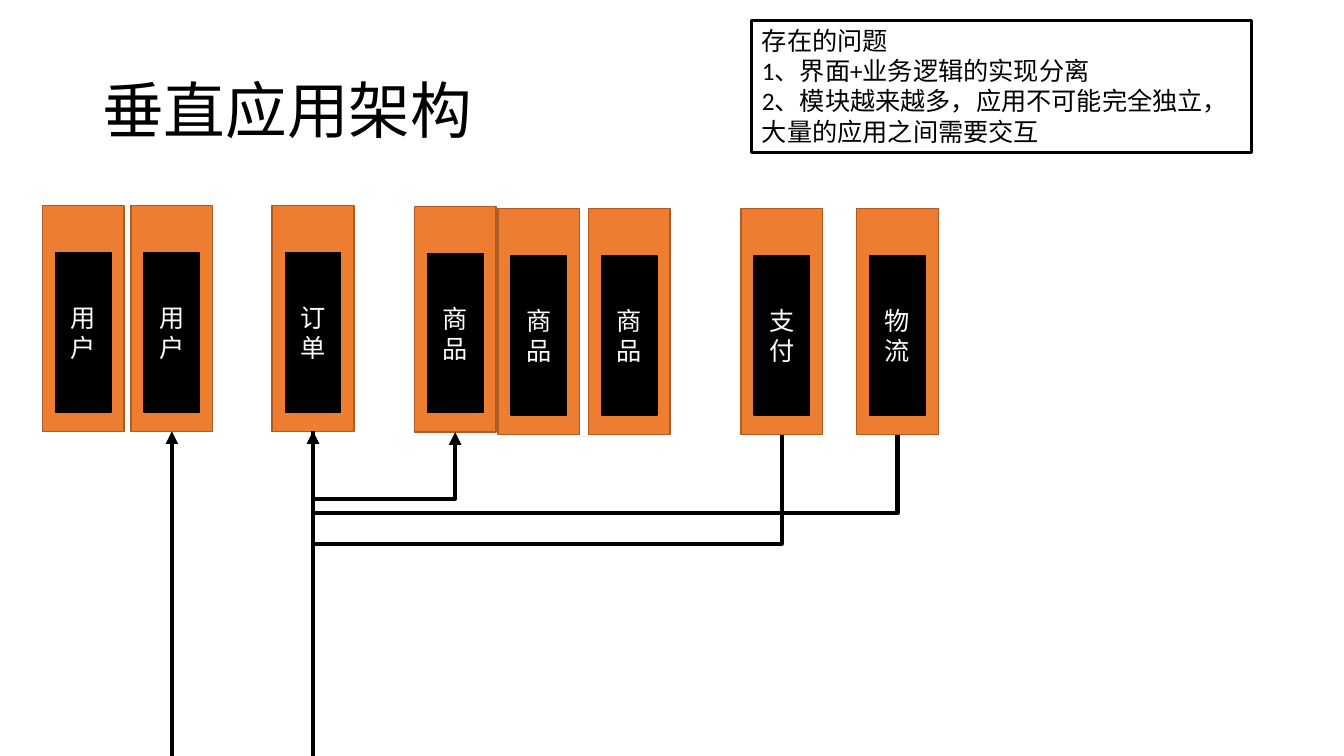
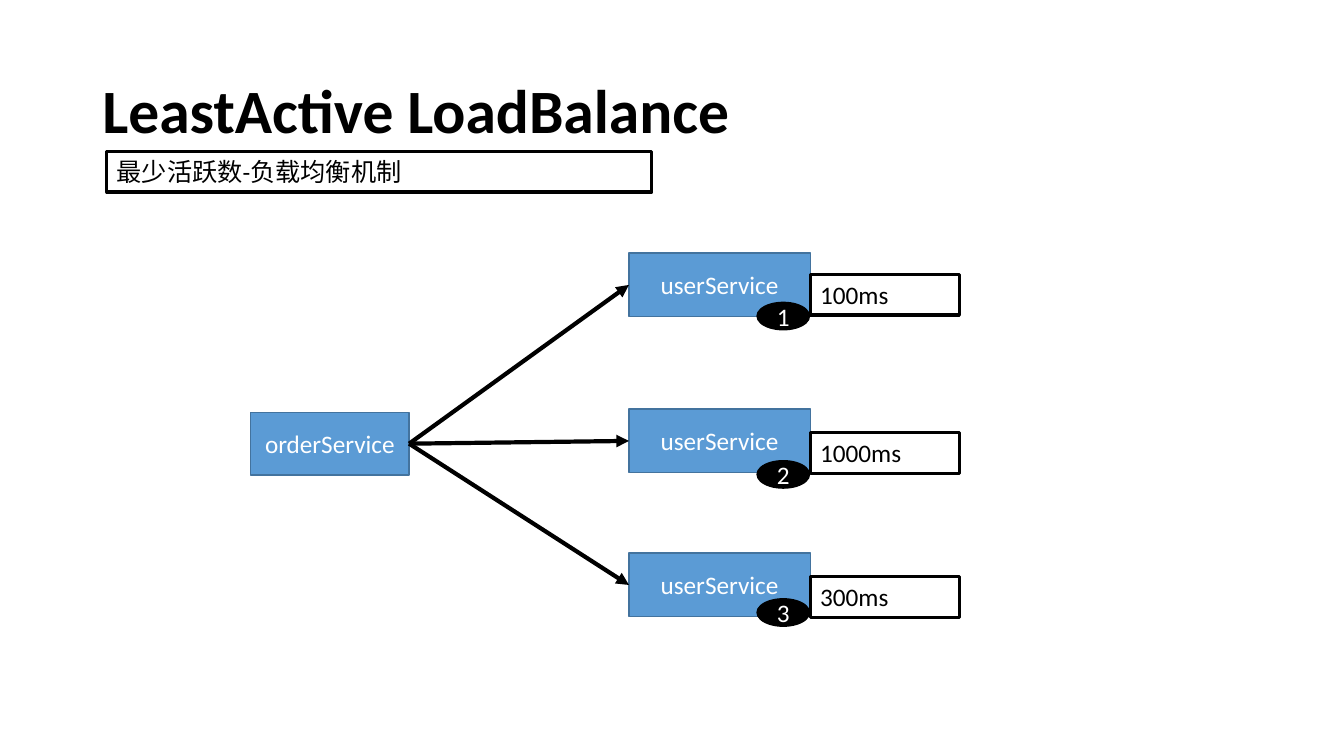
import pptx
import pptx.util
import pptx.dml.color
import pptx.enum.shapes
import pptx.enum.text
import pptx.oxml
import pptx.oxml.ns

Cm = pptx.util.Cm
Pt = pptx.util.Pt
SHAPES = pptx.enum.shapes.MSO_SHAPE
CONNECTORS = pptx.enum.shapes.MSO_CONNECTOR
ALIGN = pptx.enum.text.PP_ALIGN
ANCHOR = pptx.enum.text.MSO_ANCHOR
qn = pptx.oxml.ns.qn

COLOURS = {
    "black": "000000", "white": "FFFFFF",
    "orange": "ED7D31", "orange_edge": "AF5C24",
    "blue": "5B9BD5", "blue_edge": "43739E",
}
FONT = "Calibri"
SLIDE_WIDTH, SLIDE_HEIGHT = 33.87, 19.05
TITLE_BOX = (2.33, 1.02, 29.21, 3.68)

ARCHITECTURE_TITLE = "垂直应用架构"
PROBLEMS = [
    "存在的问题",
    "1、界面+业务逻辑的实现分离",
    "2、模块越来越多，应用不可能完全独立，大量的应用之间需要交互",
]
PROBLEMS_BOX = (18.95, 0.51, 12.6, 3.33)
CARD_WIDTH, CARD_HEIGHT = 2.06, 5.69
MODULE_INSET, MODULE_DROP, MODULE_HEIGHT = 0.33, 1.19, 4.01
CARDS = [
    ("user_a", "用户", 1.07, 5.18),
    ("user_b", "用户", 3.3, 5.18),
    ("order", "订单", 6.86, 5.18),
    ("product_a", "商品", 10.44, 5.2),
    ("product_b", "商品", 12.55, 5.26),
    ("product_c", "商品", 14.83, 5.26),
    ("payment", "支付", 18.67, 5.26),
    ("logistics", "物流", 21.59, 5.26),
]
CALLS = [
    ("order", "product_a", 12.57),
    ("payment", "order", 13.7),
    ("logistics", "order", 12.93),
]

BALANCE_TITLE = "LeastActive LoadBalance"
BALANCE_NOTE = "最少活跃数-负载均衡机制"
BALANCE_NOTE_BOX = (2.69, 3.81, 13.74, 1.03)
ORDER_BOX = (6.32, 10.39, 3.99, 1.58)
USER_LEFT, USER_WIDTH, USER_HEIGHT = 15.85, 4.57, 1.6
USERS = [
    ("1", "100ms", 6.38, 6.91, 7.62),
    ("2", "1000ms", 10.31, 10.9, 11.61),
    ("3", "300ms", 13.94, 14.53, 15.09),
]


def colour(name):
    return pptx.dml.color.RGBColor.from_string(COLOURS[name])


def write(shape, lines, ink, size=18, bold=False, align=ALIGN.LEFT, anchor=ANCHOR.TOP):
    frame = shape.text_frame
    frame.word_wrap = True
    frame.vertical_anchor = anchor
    frame.text = "\n".join(lines)
    for paragraph in frame.paragraphs:
        paragraph.alignment = align
        paragraph.font.name = FONT
        paragraph.font.size = Pt(size)
        paragraph.font.bold = bold
        paragraph.font.color.rgb = colour(ink)


def add_title(slide, text, bold=False):
    title = slide.shapes.add_textbox(*map(Cm, TITLE_BOX))
    write(title, [text], "black", 44, bold, anchor=ANCHOR.MIDDLE)
    title.text_frame.paragraphs[0].line_spacing = 0.9


def add_block(shapes, box, fill, edge, text=None, kind=SHAPES.RECTANGLE):
    shape = shapes.add_shape(kind, *map(Cm, box))
    shape.shadow.inherit = False
    shape.fill.solid()
    shape.fill.fore_color.rgb = colour(fill)
    shape.line.color.rgb = colour(edge)
    shape.line.width = Pt(1)
    if text:
        write(shape, [text], "white", align=ALIGN.CENTER, anchor=ANCHOR.MIDDLE)
    return shape


def add_note(slide, box, lines):
    note = add_block(slide.shapes, box, "white", "black")
    note.line.width = Pt(2.25)
    write(note, lines, "black")


def add_line(slide, start, end, arrow=True, kind=CONNECTORS.STRAIGHT):
    line = slide.shapes.add_connector(kind, *map(Cm, start + end))
    line.line.color.rgb = colour("black")
    line.line.width = Pt(3)
    if arrow:
        tail = pptx.oxml.parse_xml(
            '<a:tailEnd %s type="triangle"/>' % pptx.oxml.ns.nsdecls("a"))
        line.line._get_or_add_ln().append(tail)
    line._element.spPr.append(
        pptx.oxml.parse_xml("<a:effectLst %s/>" % pptx.oxml.ns.nsdecls("a")))
    return line


def add_call(slide, source, target, start, end, bend):
    line = add_line(slide, start, end, kind=CONNECTORS.ELBOW)
    line.begin_connect(source, 2)
    line.end_connect(target, 2)
    rise, span = end[1] - start[1], abs(end[0] - start[0])
    depth = abs(rise)
    line.left = Cm((start[0] + end[0] - depth) / 2)
    line.top = Cm((start[1] + end[1] - span) / 2)
    line.width, line.height = Cm(depth), Cm(span)
    properties = line._element.spPr
    frame = properties.find(qn("a:xfrm"))
    frame.attrib.pop("flipV", None)
    frame.set("flipH", "1")
    frame.set("rot", str((270 if rise > 0 else 90) * 60000))
    ratio = round((bend - start[1]) / rise * 100000)
    adjustments = pptx.oxml.parse_xml(
        '<a:avLst %s><a:gd name="adj1" fmla="val %d"/></a:avLst>'
        % (pptx.oxml.ns.nsdecls("a"), ratio))
    geometry = properties.find(qn("a:prstGeom"))
    for child in list(geometry):
        geometry.remove(child)
    geometry.append(adjustments)


def add_card(slide, text, left, top):
    group = slide.shapes.add_group_shape()
    card = add_block(group.shapes, (left, top, CARD_WIDTH, CARD_HEIGHT),
                     "orange", "orange_edge")
    add_block(group.shapes,
              (left + MODULE_INSET, top + MODULE_DROP,
               CARD_WIDTH - 2 * MODULE_INSET, MODULE_HEIGHT),
              "black", "black", text)
    return card


def build_architecture(slide):
    add_title(slide, ARCHITECTURE_TITLE)
    cards, feet = {}, {}
    for name, text, left, top in CARDS:
        cards[name] = add_card(slide, text, left, top)
        feet[name] = (left + CARD_WIDTH / 2, top + CARD_HEIGHT)
    add_note(slide, PROBLEMS_BOX, PROBLEMS)
    for name, arrow in [("user_b", True), ("order", False)]:
        add_line(slide, (feet[name][0], SLIDE_HEIGHT), feet[name], arrow)
    for source, target, bend in CALLS:
        add_call(slide, cards[source], cards[target], feet[source], feet[target], bend)


def build_balance(slide):
    add_title(slide, BALANCE_TITLE, bold=True)
    add_block(slide.shapes, ORDER_BOX, "blue", "blue_edge", "orderService")
    add_note(slide, BALANCE_NOTE_BOX, [BALANCE_NOTE])
    left, top, width, height = ORDER_BOX
    for number, delay, user_top, delay_top, badge_top in USERS:
        add_block(slide.shapes, (USER_LEFT, user_top, USER_WIDTH, USER_HEIGHT),
                  "blue", "blue_edge", "userService")
        add_note(slide, (USER_LEFT + USER_WIDTH, delay_top, 3.76, 1.03), [delay])
        add_line(slide, (left + width, top + height / 2),
                 (USER_LEFT, user_top + USER_HEIGHT / 2))
        add_block(slide.shapes, (19.08, badge_top, 1.32, 0.69),
                  "black", "black", number, SHAPES.OVAL)


presentation = pptx.Presentation()
presentation.slide_width = Cm(SLIDE_WIDTH)
presentation.slide_height = Cm(SLIDE_HEIGHT)
for build in (build_architecture, build_balance):
    build(presentation.slides.add_slide(presentation.slide_layouts[6]))
presentation.save("out.pptx")
